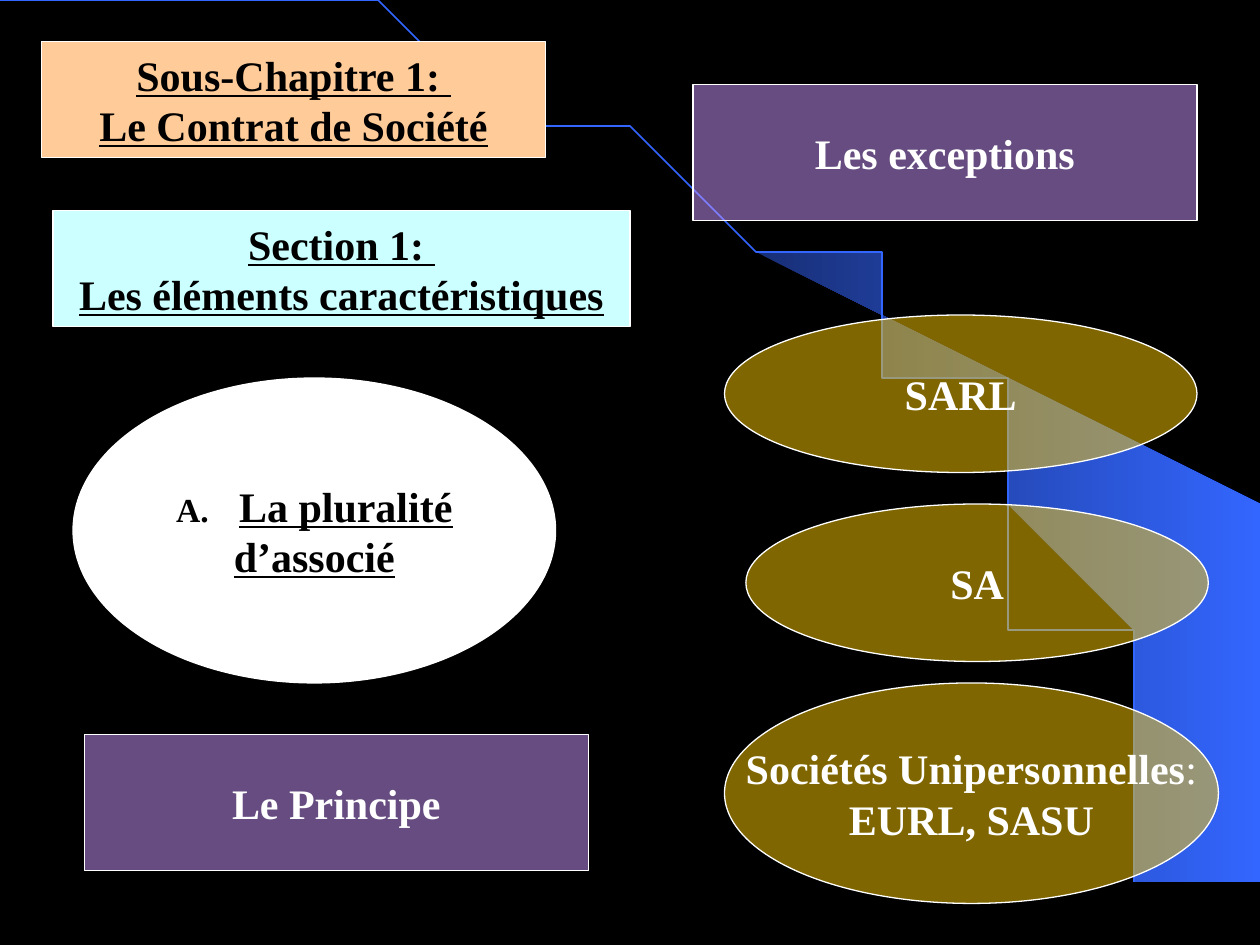
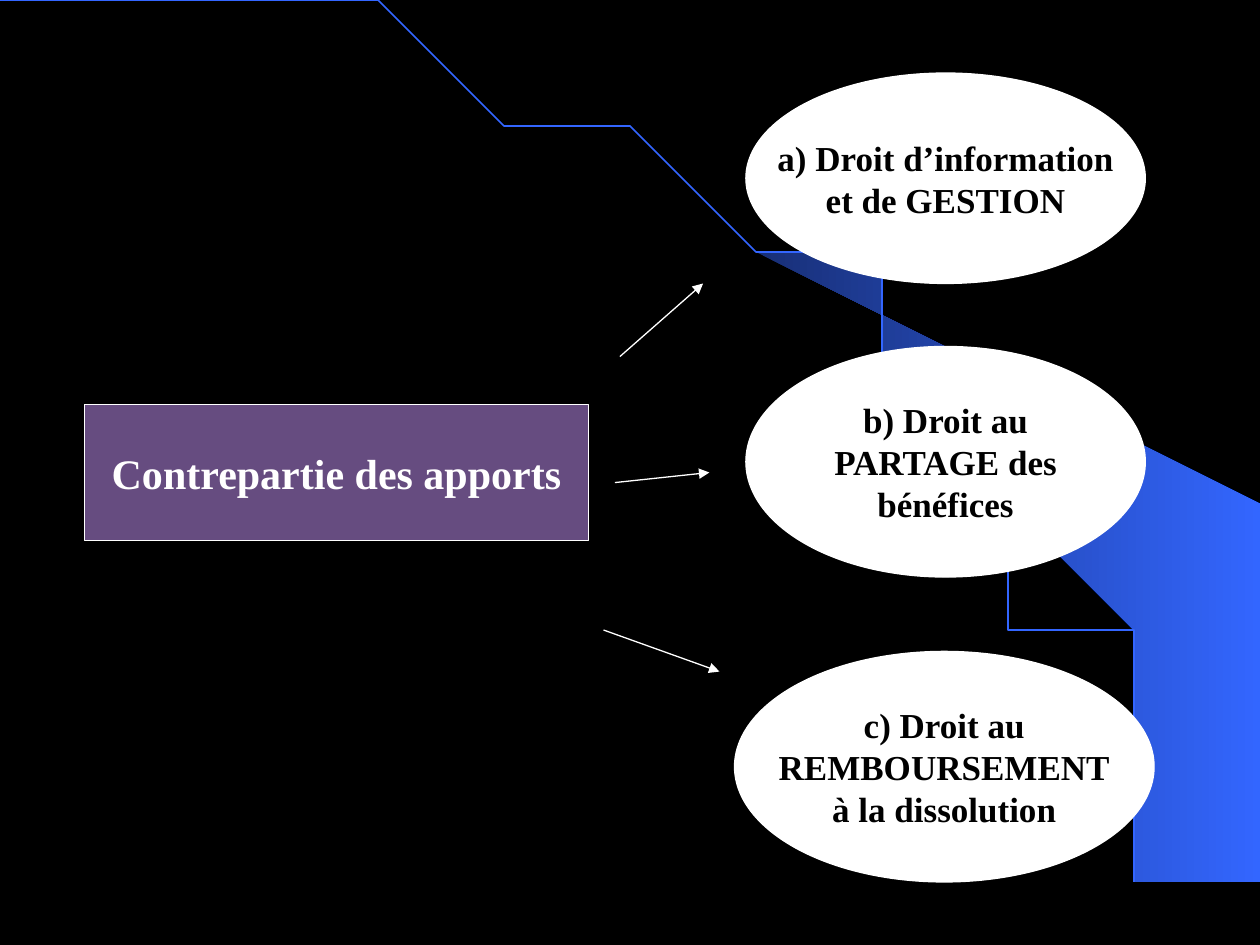
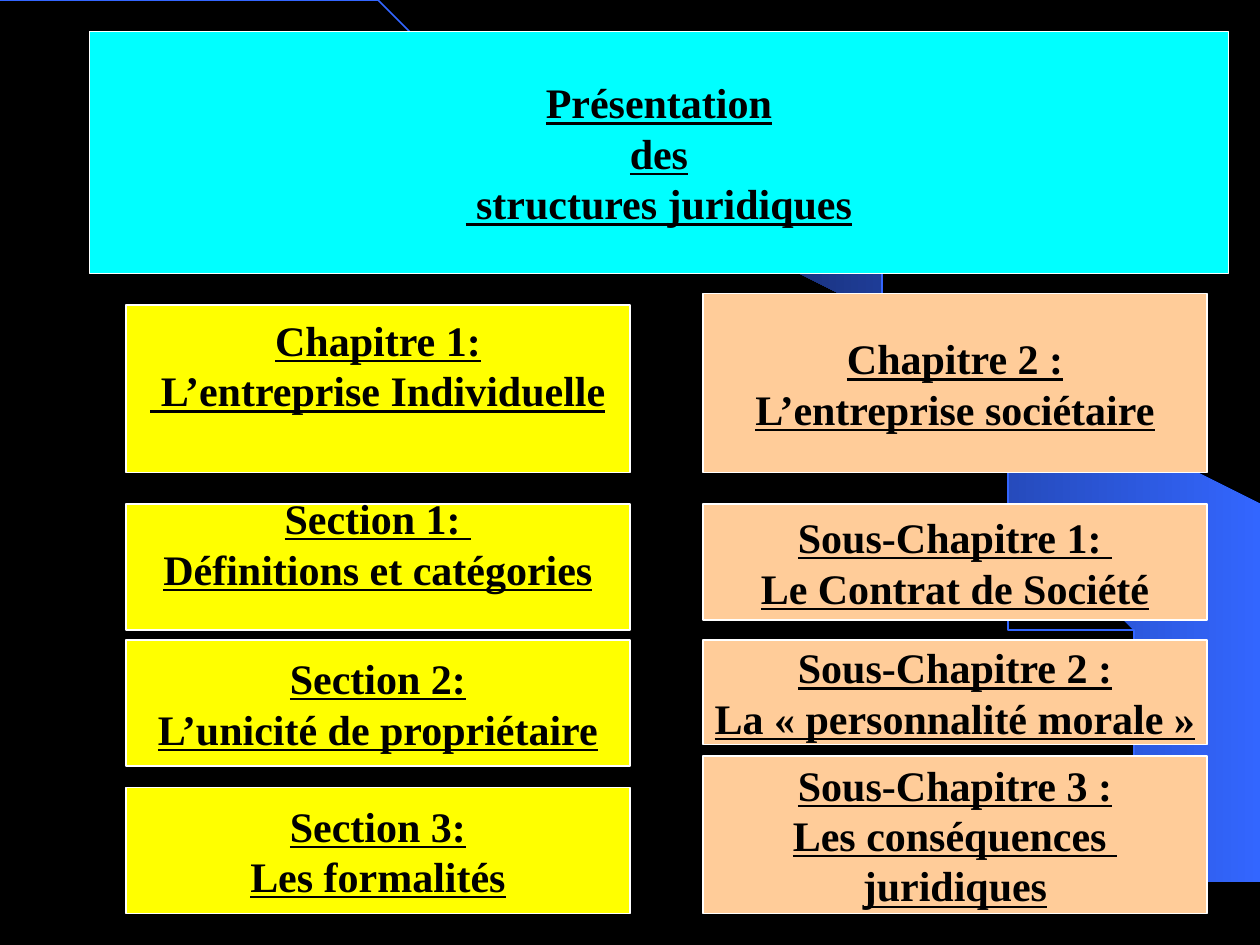
from math import cos, pi, sin

from lxml.etree import SubElement
from pptx import Presentation
from pptx.dml.color import RGBColor
from pptx.enum.shapes import MSO_CONNECTOR, MSO_SHAPE as SHAPE
from pptx.enum.text import MSO_ANCHOR, MSO_AUTO_SIZE, PP_ALIGN
from pptx.oxml.ns import qn
from pptx.util import Inches, Pt

FONT = "Times New Roman"
COLORS = {
    "black": "000000", "white": "FFFFFF", "navy": "182F76", "blue": "3366FF",
    "peach": "FFCC99", "ice": "CCFFFF", "cyan": "00FFFF", "yellow": "FFFF00",
    "violet": "CC99FF", "gold": "FFCC00",
}
TRANSLUCENT = ("violet", "gold")


def rgb(name):
    return RGBColor.from_string(COLORS[name])


def fill_panel(shape, box, text, color, size=24, underline=False):
    """Place a shape and give it the shared outline, fill and centred bold text."""
    shape.left, shape.top, shape.width, shape.height = map(Inches, box)
    shape.shadow.inherit = False
    shape.fill.solid()
    shape.fill.fore_color.rgb = rgb(color)
    if color in TRANSLUCENT:
        tint = shape.element.spPr.find(qn("a:solidFill")).find(qn("a:srgbClr"))
        SubElement(tint, qn("a:alpha"), val="50000")
    shape.line.color.rgb = rgb("white")
    shape.line.width = Pt(0.75)
    frame = shape.text_frame
    frame.text = text
    frame.word_wrap = False
    frame.auto_size = MSO_AUTO_SIZE.NONE
    frame.vertical_anchor = MSO_ANCHOR.MIDDLE
    for paragraph in frame.paragraphs:
        paragraph.alignment = PP_ALIGN.CENTER
        for run in paragraph.runs:
            run.font.name = FONT
            run.font.size = Pt(size)
            run.font.bold = True
            run.font.underline = underline
            run.font.color.rgb = rgb("white" if color in TRANSLUCENT else "black")
    return shape


prs = Presentation()
prs.slide_width, prs.slide_height = Inches(10), Inches(7.5)
layout = prs.slide_layouts.get_by_name("Title Only")
layout.background.fill.solid()
layout.background.fill.fore_color.rgb = rgb("black")
plurality, counterpart, overview = [prs.slides.add_slide(layout) for _ in range(3)]

# Shared backdrop: a gradient beam and an elliptical arc, kept on the layout
beam_points = [
    (9.2, 7.48), (9.99, 7.49), (9.99, 4.23), (5.89, 1.73), (6.24, 1.99), (6.53, 2.22),
    (6.85, 2.5), (7.16, 2.8), (7.62, 3.3), (8.03, 3.84), (8.32, 4.31), (8.58, 4.79),
    (8.78, 5.28), (8.93, 5.72), (9.03, 6.09), (9.13, 6.56), (9.17, 6.96),
]
arc_steps = 60
arc_angles = [pi / 2 * step / arc_steps for step in range(arc_steps + 1)]
arc_points = [(9.2 * sin(angle), 7.49 * (1 - cos(angle))) for angle in arc_angles]
backdrop = []
for points, closed in ((beam_points, True), (arc_points, False)):
    builder = plurality.shapes.build_freeform(*points[0], scale=Inches(1))
    builder.add_line_segments(points[1:], close=closed)
    outline = builder.convert_to_shape()
    outline.shadow.inherit = False
    backdrop.append(outline)
beam, arc = backdrop
beam.fill.gradient()
beam.fill.gradient_angle = 0
for stop, name in zip(beam.fill.gradient_stops, ("navy", "blue")):
    stop.color.rgb = rgb(name)
beam.line.fill.background()
arc.fill.background()
arc.line.color.rgb = rgb("blue")
arc.line.width = Pt(1)
for outline in backdrop:
    layout.shapes.element.append(outline.element)

# Slide 1: plurality of partners
fill_panel(plurality.shapes.title, (0.33, 0.33, 4, 0.92),
           "Sous-Chapitre 1: \nLe Contrat de Société", "peach", underline=True)
fill_panel(plurality.shapes.add_shape(SHAPE.RECTANGLE, 0, 0, 0, 0), (0.42, 1.67, 4.58, 0.92),
           "Section 1: \nLes éléments caractéristiques", "ice", underline=True)
topic = fill_panel(plurality.shapes.add_shape(SHAPE.OVAL, 0, 0, 0, 0), (0.58, 3, 3.83, 2.42),
                   "La pluralité\nd’associé", "white", underline=True)
for paragraph in topic.text_frame.paragraphs:
    properties = paragraph._p.get_or_add_pPr()
    properties.set("marL", str(Inches(0.5)))
    properties.set("indent", str(-Inches(0.5)))
numbering = topic.text_frame.paragraphs[0]._p.get_or_add_pPr()
SubElement(SubElement(numbering, qn("a:buClr")), qn("a:srgbClr"), val=COLORS["black"])
SubElement(numbering, qn("a:buSzPct"), val="80000")
SubElement(numbering, qn("a:buFont"), typeface=FONT)
SubElement(numbering, qn("a:buAutoNum"), type="alphaUcPeriod")

for heading, left, top in (("Le Principe", 0.67, 5.83), ("Les exceptions", 5.5, 0.67)):
    fill_panel(plurality.shapes.add_shape(SHAPE.RECTANGLE, 0, 0, 0, 0),
               (left, top, 4, 1.08), heading, "violet")
exceptions = [
    ("SARL", (5.75, 2.5, 3.75, 1.25)),
    ("SA", (5.92, 4, 3.67, 1.25)),
    ("Sociétés Unipersonnelles\nEURL, SASU", (5.75, 5.42, 3.92, 1.75)),
]
for company_form, box in exceptions:
    single_owner = fill_panel(plurality.shapes.add_shape(SHAPE.OVAL, 0, 0, 0, 0),
                              box, company_form, "gold")
colon = single_owner.text_frame.paragraphs[0].add_run()
colon.text = ":"
colon.font.name = FONT
colon.font.size = Pt(24)
colon.font.bold = False
colon.font.color.rgb = rgb("white")

# Slide 2: what partners receive for their contributions
fill_panel(counterpart.shapes.title, (0.67, 3.21, 4, 1.08), "Contrepartie des apports", "violet")
rights = [
    ("a) Droit d’information\net de GESTION", (5.92, 0.58, 3.17, 1.67),
     (4.92, 2.83, 5.58, 2.25)),
    ("b) Droit au\nPARTAGE des\nbénéfices", (5.92, 2.75, 3.17, 1.83),
     (4.88, 3.83, 5.63, 3.75)),
    ("c) Droit au\nREMBOURSEMENT\nà la dissolution", (5.83, 5.17, 3.33, 1.83),
     (4.79, 5, 5.71, 5.33)),
]
for right, box, arrow_ends in rights:
    fill_panel(counterpart.shapes.add_shape(SHAPE.OVAL, 0, 0, 0, 0), box, right, "white", size=20)
    arrow = counterpart.shapes.add_connector(MSO_CONNECTOR.STRAIGHT, *map(Inches, arrow_ends))
    arrow.line.color.rgb = rgb("white")
    arrow.line.width = Pt(0.75)
    arrow_properties = arrow.element.spPr
    SubElement(arrow_properties.find(qn("a:ln")), qn("a:tailEnd"), type="triangle")
    SubElement(arrow_properties, qn("a:effectLst"))

# Slide 3: overview of the chapters
fill_panel(overview.shapes.title, (0.71, 0.25, 9.04, 1.92),
           "Présentation\ndes\n structures juridiques", "cyan", underline=True)
# Each entry: text, top, height, bottom inset
chapters = [
    (1, "yellow", [
        ("Chapitre 1:\n L’entreprise Individuelle", 2.42, 1.33, 0.43),
        ("Section 1: \nDéfinitions et catégories", 4, 1, 0.43),
        ("Section 2:\nL’unicité de propriétaire", 5.08, 1, 0.05),
        ("Section 3:\nLes formalités", 6.25, 1, 0.05),
    ]),
    (5.58, "peach", [
        ("Chapitre 2 :\nL’entreprise sociétaire", 2.33, 1.42, 0.05),
        ("Sous-Chapitre 1: \nLe Contrat de Société", 4, 0.92, 0.05),
        ("Sous-Chapitre 2 :\nLa « personnalité morale »", 5.08, 0.83, 0.05),
        ("Sous-Chapitre 3 :\nLes conséquences \njuridiques", 6, 1.25, 0.05),
    ]),
]
for left, color, entries in chapters:
    for text, top, height, bottom_inset in entries:
        entry = fill_panel(overview.shapes.add_shape(SHAPE.RECTANGLE, 0, 0, 0, 0),
                           (left, top, 4, height), text, color, underline=True)
        entry.text_frame.margin_bottom = Inches(bottom_inset)

prs.save("out.pptx")
